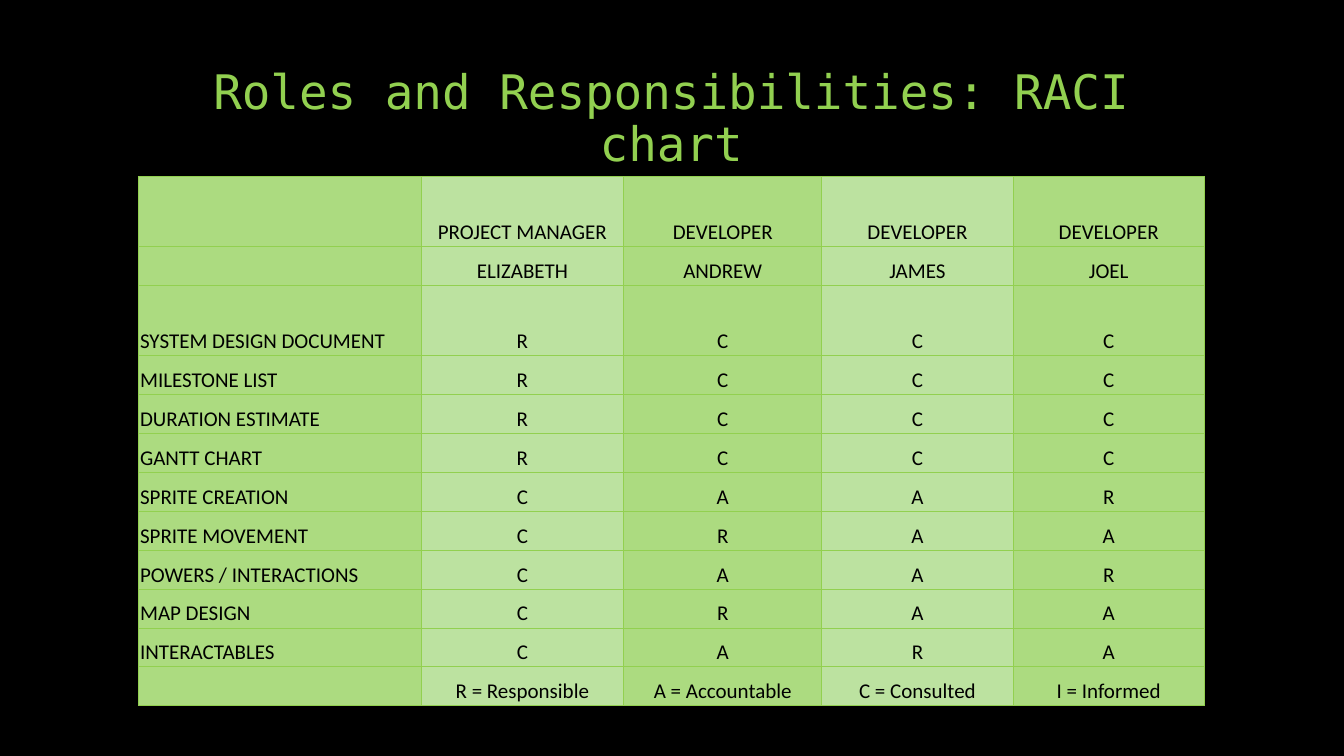
"""Build the RACI chart slide."""
from lxml.etree import SubElement
from pptx import Presentation
from pptx.dml.color import RGBColor
from pptx.enum.text import MSO_ANCHOR as Anchor, MSO_AUTO_SIZE as AutoSize, PP_ALIGN as Align
from pptx.oxml.ns import qn
from pptx.util import Cm, Pt

BLACK = RGBColor(0x00, 0x00, 0x00)
GREEN = RGBColor(0x92, 0xD0, 0x50)
BAND_DARK = RGBColor(0xAC, 0xDB, 0x80)
BAND_LIGHT = RGBColor(0xBC, 0xE2, 0xA0)

TITLE = "Roles and Responsibilities: RACI chart"
DUTIES = [
    ("SYSTEM DESIGN DOCUMENT", "RCCC"),
    ("MILESTONE LIST", "RCCC"),
    ("DURATION ESTIMATE", "RCCC"),
    ("GANTT CHART", "RCCC"),
    ("SPRITE CREATION", "CAAR"),
    ("SPRITE MOVEMENT", "CRAA"),
    ("POWERS / INTERACTIONS", "CAAR"),
    ("MAP DESIGN", "CRAA"),
    ("INTERACTABLES", "CARA"),
]
RACI_ROWS = [
    ("", "PROJECT MANAGER", "DEVELOPER", "DEVELOPER", "DEVELOPER"),
    ("", "ELIZABETH", "ANDREW", "JAMES", "JOEL"),
    *((duty, *codes) for duty, codes in DUTIES),
    ("", "R = Responsible", "A = Accountable", "C = Consulted", "I = Informed"),
]
COLUMN_SHARES = (7.13, 5.11, 4.99, 4.82, 4.82)
TALL_ROWS = (0, 2)
TALL_FACTOR = 1.8


def add_title(slide, left, top, width, height):
    """Place the heading at the bottom of its box."""
    heading = slide.shapes.title
    heading.left, heading.top, heading.width, heading.height = left, top, width, height
    frame = heading.text_frame
    frame.text = TITLE
    frame.word_wrap = True
    frame.auto_size = AutoSize.NONE
    frame.vertical_anchor = Anchor.BOTTOM
    line = frame.paragraphs[0]
    line.alignment = Align.CENTER
    line.line_spacing = 0.9
    line.font.name = "DejaVu Sans Mono"
    line.font.size = Pt(34)
    line.font.color.rgb = GREEN


def add_borders(cell):
    """Draw a thin green line on each side of a cell."""
    properties = cell._tc.get_or_add_tcPr()
    for side in ("a:lnL", "a:lnR", "a:lnT", "a:lnB"):
        border = SubElement(properties, qn(side), w=str(Pt(0.5)))
        paint = SubElement(border, qn("a:solidFill"))
        SubElement(paint, qn("a:srgbClr"), val=str(GREEN))


def format_cell(cell, text, column):
    """Fill a cell with its text and the shade of its column."""
    add_borders(cell)
    cell.fill.solid()
    cell.fill.fore_color.rgb = BAND_LIGHT if column % 2 else BAND_DARK
    cell.margin_left = cell.margin_right = Cm(0.05)
    cell.margin_top = cell.margin_bottom = Cm(0.03)
    cell.vertical_anchor = Anchor.BOTTOM
    cell.text = text
    label = cell.text_frame.paragraphs[0]
    label.alignment = Align.CENTER if column else Align.LEFT
    label.font.name = "Calibri"
    label.font.size = Pt(15)
    label.font.color.rgb = BLACK


def add_raci_table(slide, left, top, width, height):
    """Place the responsibility matrix in its box."""
    matrix = slide.shapes.add_table(
        len(RACI_ROWS), len(COLUMN_SHARES), left, top, width, height).table
    matrix.first_row = matrix.horz_banding = False
    for column, share in zip(matrix.columns, COLUMN_SHARES):
        column.width = int(width * share / sum(COLUMN_SHARES))
    factors = [TALL_FACTOR if r in TALL_ROWS else 1 for r in range(len(RACI_ROWS))]
    for row, factor in zip(matrix.rows, factors):
        row.height = int(height * factor / sum(factors))
    for r, texts in enumerate(RACI_ROWS):
        for c, text in enumerate(texts):
            format_cell(matrix.cell(r, c), text, c)


def main():
    """Assemble and save the slide."""
    deck = Presentation()
    deck.slide_width, deck.slide_height = Cm(33.87), Cm(19.05)
    slide = deck.slides.add_slide(deck.slide_layouts[5])
    slide.background.fill.solid()
    slide.background.fill.fore_color.rgb = BLACK
    left, width = Cm(3.48), Cm(26.87)
    add_title(slide, left, Cm(1.27), width, Cm(3.18))
    add_raci_table(slide, left, Cm(4.45), width, Cm(13.34))
    deck.save("out.pptx")


if __name__ == "__main__":
    main()
